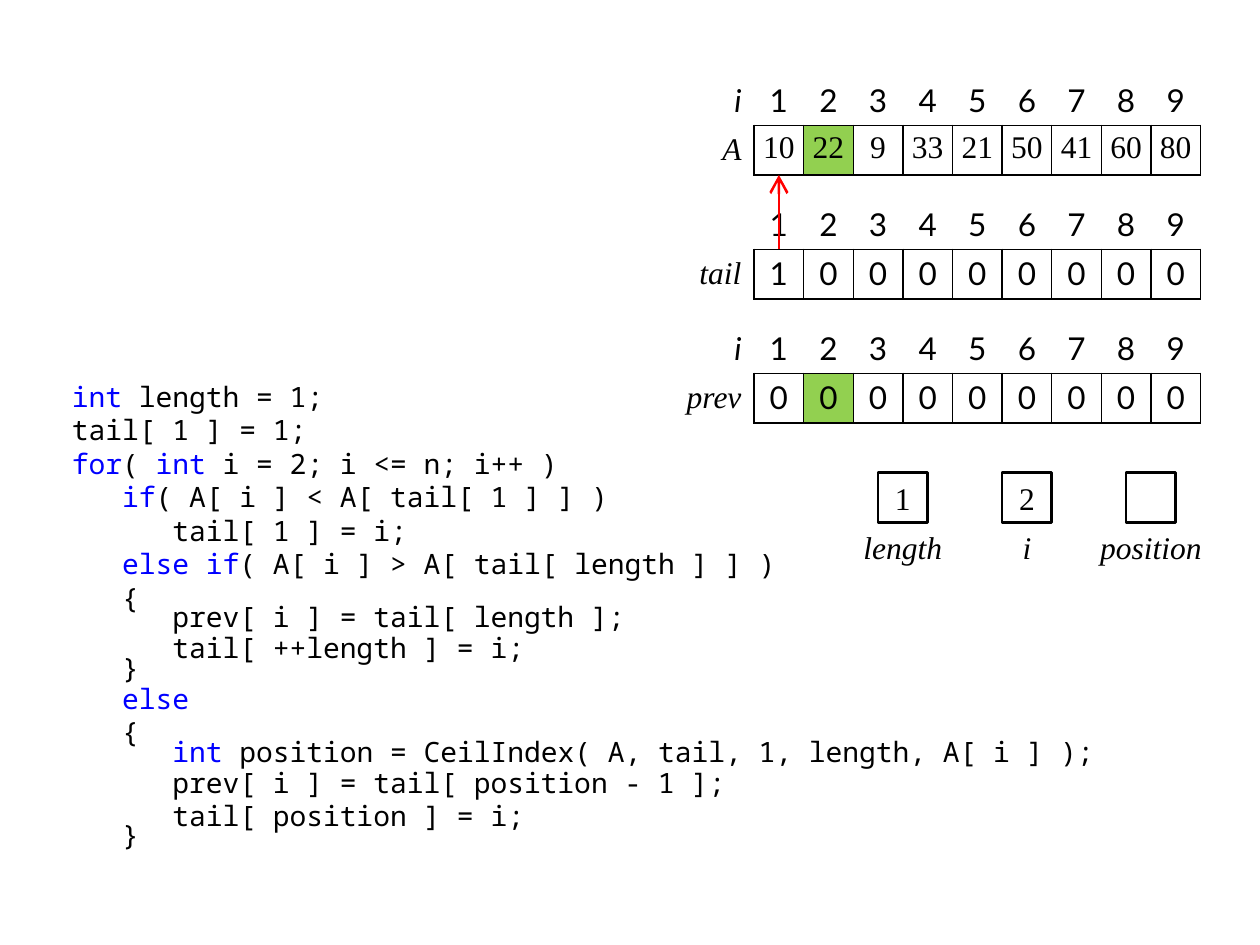
"""Build a slide that traces the longest increasing subsequence algorithm."""
from dataclasses import dataclass

from lxml.etree import SubElement
from pptx import Presentation
from pptx.dml.color import RGBColor as RGB
from pptx.enum.shapes import MSO_CONNECTOR as Connector, MSO_SHAPE as Shape
from pptx.enum.text import MSO_ANCHOR as Anchor, PP_ALIGN as Align
from pptx.oxml.ns import qn
from pptx.util import Pt


@dataclass(frozen=True)
class Theme:
    ink: RGB = RGB(0, 0, 0)
    paper: RGB = RGB(255, 255, 255)
    keyword: RGB = RGB(0, 0, 255)
    current: RGB = RGB(0x92, 0xD0, 0x50)
    pointer: RGB = RGB(255, 0, 0)
    sans: str = "Lato"
    serif: str = "Times New Roman"
    mono: str = "Noto Sans Mono"
    code_size: int = 16
    array_size: int = 18
    full_line: float = 1.0
    half_line: float = 0.5


THEME = Theme()

KEYWORD_MARK = "|"
CODE = [
    "|int| length = 1;",
    "tail[ 1 ] = 1;",
    "|for|( |int |i = 2; i <= n; i++ )",
    "   |if|( A[ i ] < A[ tail[ 1 ] ] )",
    "      tail[ 1 ] = i;",
    "   |else if|( A[ i ] > A[ tail[ length ] ] )",
    "   {",
    "      prev[ i ] = tail[ length ];",
    "      tail[ ++length ] = i;",
    "   }",
    "   |else|",
    "   {",
    "      |int |position = CeilIndex( A, tail, 1, length, A[ i ] );",
    "      prev[ i ] = tail[ position - 1 ];",
    "      tail[ position ] = i;",
    "   }",
]
HALF_LINES = {7, 9, 12, 15}

ARRAYS = [
    {"name": "A", "index": "i", "values": [10, 22, 9, 33, 21, 50, 41, 60, 80],
     "current": 2, "label_cells": 1, "font": THEME.serif},
    {"name": "tail", "index": "", "values": [1] + [0] * 8,
     "current": None, "label_cells": 1.5, "font": THEME.sans},
    {"name": "prev", "index": "i", "values": [0] * 9,
     "current": 2, "label_cells": 2, "font": THEME.sans},
]
VARIABLES = [("length", "1", 2), ("i", "2", 1), ("position", "", 3)]

CELL = 28.35
STEP = 2.5 * CELL
GRID_LEFT, GRID_TOP = 430.9, 43.3
VARIABLE_LEFT, VARIABLE_TOP = GRID_LEFT + STEP, GRID_TOP + 8 * CELL
NO_GRID_STYLE = "{2D5ABB26-0587-4C30-8999-92F81FD0307C}"


def write(paragraph, text, font=THEME.serif, size=THEME.array_size, color=THEME.ink,
          italic=False, align=Align.CENTER, spacing=None):
    paragraph.alignment = align
    paragraph.line_spacing = spacing
    paragraph.font.size = Pt(size)
    for position, part in enumerate(text.split(KEYWORD_MARK)):
        if part:
            run = paragraph.add_run()
            run.text = part
            run.font.name, run.font.size, run.font.italic = font, Pt(size), italic
            run.font.color.rgb = THEME.keyword if position % 2 else color


def add_code(shapes):
    frame = shapes.add_textbox(Pt(34), Pt(213.1), Pt(609.8), Pt(283.7)).text_frame
    frame.word_wrap = True
    for number, line in enumerate(CODE):
        paragraph = frame.add_paragraph() if number else frame.paragraphs[0]
        spacing = THEME.half_line if number in HALF_LINES else THEME.full_line
        write(paragraph, line, font=THEME.mono, size=THEME.code_size,
              align=Align.LEFT, spacing=spacing)


def add_borders(cell, sides):
    properties = cell._tc.get_or_add_tcPr()
    for order, side in enumerate(sides):
        border = SubElement(properties, qn(f"a:ln{side}"), w=str(Pt(1)))
        fill = SubElement(border, qn("a:solidFill"))
        SubElement(fill, qn("a:srgbClr"), val=str(THEME.ink))
        properties.insert(order, border)


def fill_cell(cell, text, side_margin, anchor=Anchor.MIDDLE, sides="", **text_format):
    cell.margin_left = cell.margin_right = Pt(side_margin)
    cell.margin_top = cell.margin_bottom = Pt(2.83)
    cell.vertical_anchor = anchor
    cell.fill.background()
    write(cell.text_frame.paragraphs[0], text, **text_format)
    add_borders(cell, sides)


def add_array(shapes, array, top):
    count = len(array["values"])
    label_width = array["label_cells"] * CELL
    frame = shapes.add_table(2, count + 1, Pt(GRID_LEFT - label_width), Pt(top),
                             Pt(label_width + count * CELL), Pt(2 * CELL))
    table = frame.table
    table.first_row = table.horz_banding = False
    table._tbl.tblPr.find(qn("a:tableStyleId")).text = NO_GRID_STYLE
    for row in table.rows:
        row.height = Pt(CELL)
    for number, column in enumerate(table.columns):
        column.width = Pt(CELL if number else label_width)

    label = {"side_margin": 7.2, "italic": True, "align": Align.RIGHT}
    fill_cell(table.cell(0, 0), array["index"], font=THEME.sans, **label)
    fill_cell(table.cell(1, 0), array["name"], sides="R", **label)
    for number, value in enumerate(array["values"], 1):
        fill_cell(table.cell(0, number), str(number), 0, sides="B", font=THEME.sans)
        value_cell = table.cell(1, number)
        fill_cell(value_cell, str(value), 0, anchor=Anchor.TOP, sides="LRTB",
                  font=array["font"])
        if number == array["current"]:
            value_cell.fill.solid()
            value_cell.fill.fore_color.rgb = THEME.current


def center_text(shape, text, **text_format):
    frame = shape.text_frame
    frame.word_wrap = False
    frame.margin_left = frame.margin_right = 0
    frame.vertical_anchor = Anchor.MIDDLE
    write(frame.paragraphs[0], text, **text_format)


def add_variable(shapes, name, value, name_cells, left):
    name_left = left - (name_cells - 1) * CELL / 2
    caption = shapes.add_textbox(Pt(name_left), Pt(VARIABLE_TOP + CELL),
                                 Pt(name_cells * CELL), Pt(CELL))
    center_text(caption, name, italic=True)
    box = shapes.add_shape(Shape.RECTANGLE, Pt(left), Pt(VARIABLE_TOP), Pt(CELL), Pt(CELL))
    box.shadow.inherit = False
    box.fill.solid()
    box.fill.fore_color.rgb = THEME.paper
    box.line.color.rgb = THEME.ink
    box.line.width = Pt(1.5)
    center_text(box, value)


def add_pointer(shapes):
    x = Pt(GRID_LEFT + CELL / 2)
    pointer = shapes.add_connector(Connector.STRAIGHT, x, Pt(GRID_TOP + STEP + CELL),
                                   x, Pt(GRID_TOP + 2 * CELL))
    pointer.line.color.rgb = THEME.pointer
    pointer.line.width = Pt(1.5)
    SubElement(pointer.line._get_or_add_ln(), qn("a:tailEnd"),
               type="arrow", w="lg", len="lg")
    SubElement(pointer._element.spPr, qn("a:effectLst"))


def main():
    deck = Presentation()
    deck.slide_width, deck.slide_height = Pt(720), Pt(540)
    shapes = deck.slides.add_slide(deck.slide_layouts[6]).shapes
    add_code(shapes)
    for number, array in enumerate(ARRAYS):
        add_array(shapes, array, GRID_TOP + number * STEP)
    for number, (name, value, name_cells) in enumerate(VARIABLES):
        add_variable(shapes, name, value, name_cells, VARIABLE_LEFT + number * STEP)
    add_pointer(shapes)
    deck.save("out.pptx")


if __name__ == "__main__":
    main()
